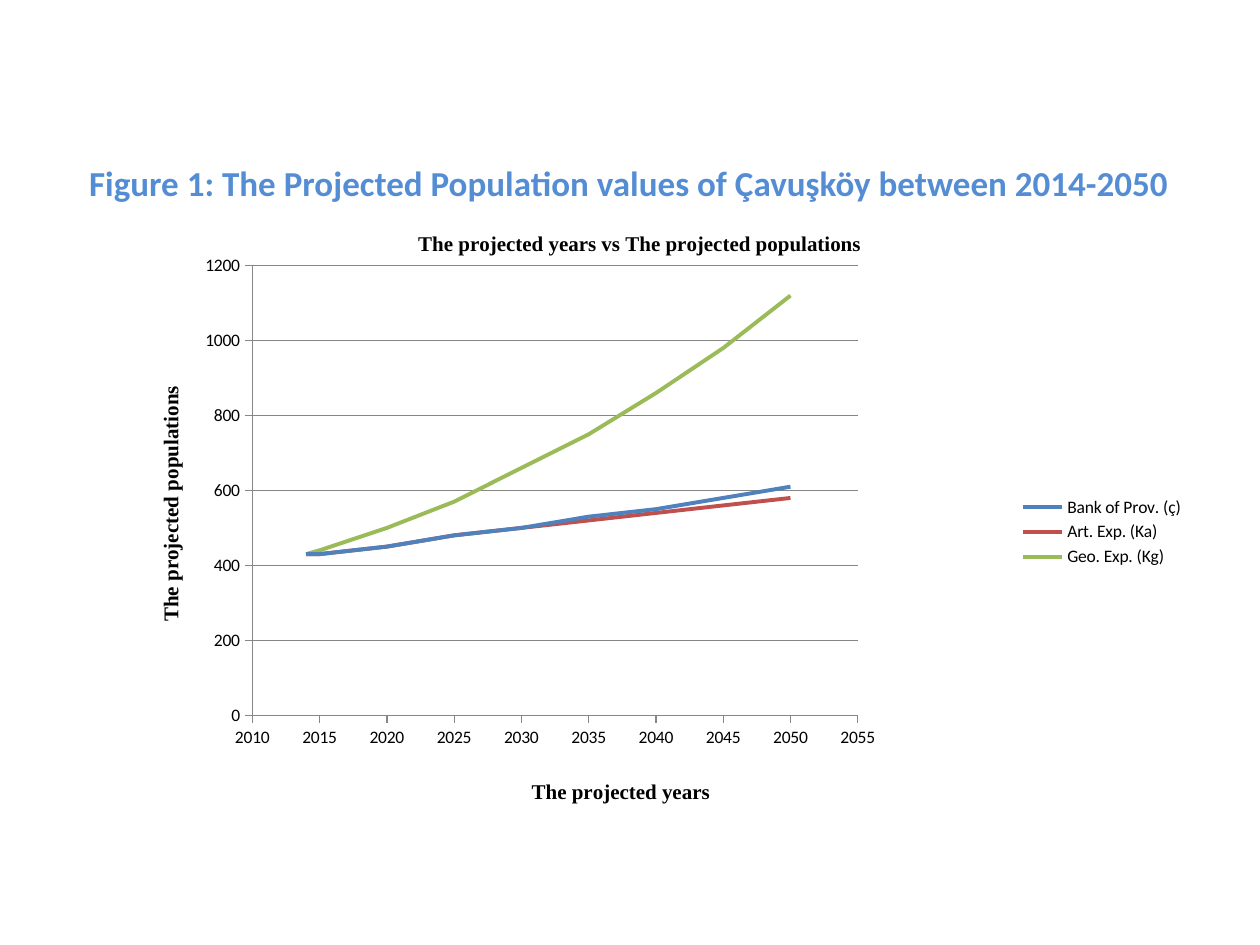
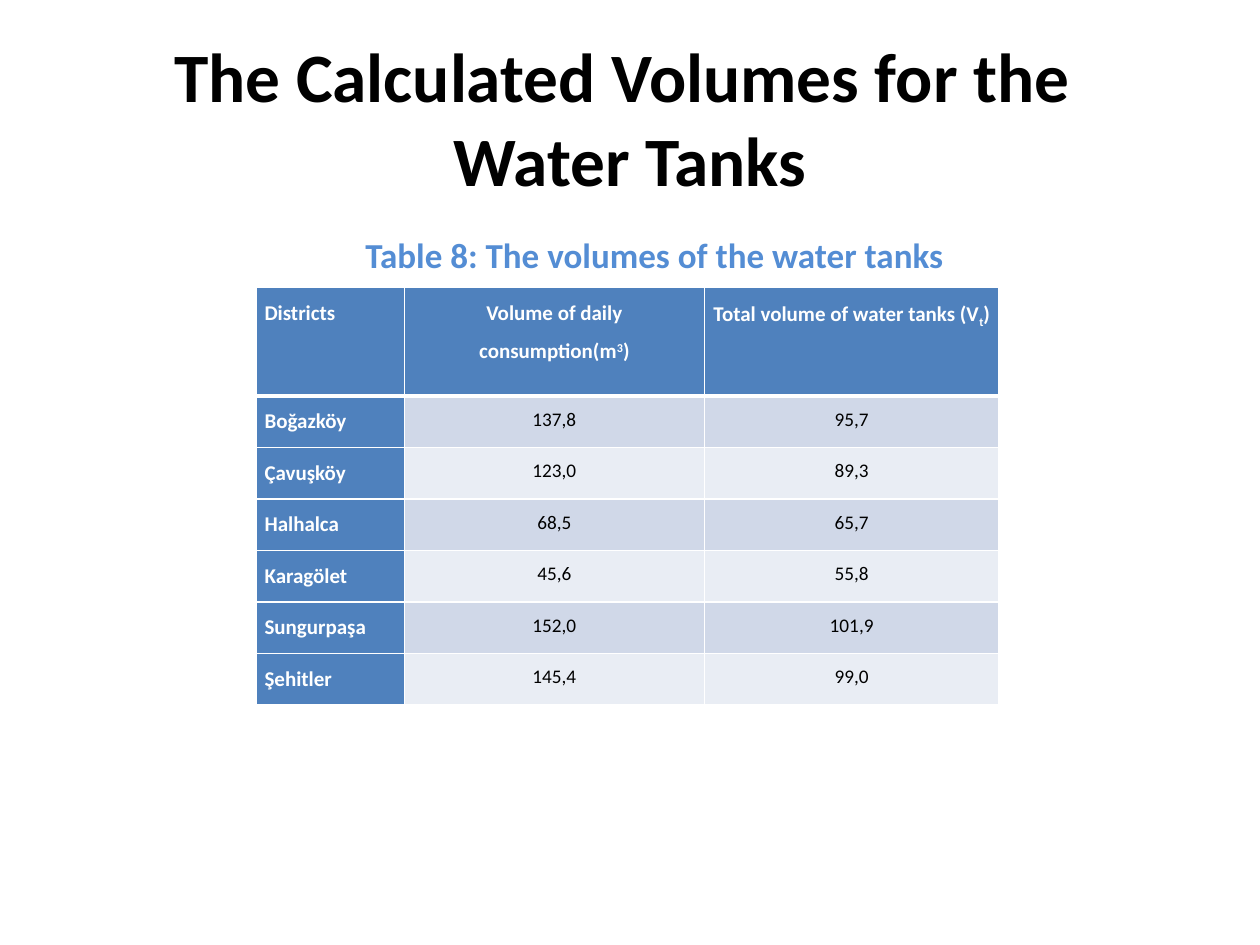
import pptx
import pptx.chart.data
import pptx.dml.color
import pptx.enum.chart
import pptx.enum.text
import pptx.oxml
import pptx.oxml.ns
import pptx.util

RGB = pptx.dml.color.RGBColor
BLACK = RGB(0x00, 0x00, 0x00)
WHITE = RGB(0xFF, 0xFF, 0xFF)
GRAY = RGB(0x86, 0x86, 0x86)
CAPTION_BLUE = RGB(0x54, 0x8D, 0xD4)
BLUE = RGB(0x4F, 0x81, 0xBD)
RED = RGB(0xC0, 0x50, 0x4D)
GREEN = RGB(0x9B, 0xBB, 0x59)
BAND_DARK = RGB(0xD0, 0xD8, 0xE8)
BAND_LIGHT = RGB(0xE9, 0xED, 0xF4)

Pt = pptx.util.Pt
qn = pptx.oxml.ns.qn
nsdecls = pptx.oxml.ns.nsdecls
CENTER = pptx.enum.text.PP_ALIGN.CENTER
W, H = pptx.util.Inches(10), pptx.util.Inches(7.5)


def add_heading(s, lines, x, y, w, h, size, color, wrap=True):
    """Add a bold centred heading; the box is given in shares of the slide."""
    tf = s.shapes.add_textbox(int(x * W), int(y * H), int(w * W), int(h * H)).text_frame
    tf.word_wrap = wrap
    p = tf.paragraphs[0]
    p.alignment = CENTER
    for i, line in enumerate(lines):
        if i:
            p.add_line_break()
        r = p.add_run()
        r.text = line
        r.font.name, r.font.size, r.font.bold = "Calibri", Pt(size), True
        r.font.color.rgb = color
    return tf


def set_layout(element, **shares):
    """Place a chart part by hand, in shares of the chart's size."""
    for old in element.findall(qn("c:layout")):
        element.remove(old)
    modes = '<c:layoutTarget val="inner"/>' if "w" in shares else ""
    modes += '<c:xMode val="edge"/><c:yMode val="edge"/>'
    values = "".join(f'<c:{key} val="{value}"/>' for key, value in shares.items())
    layout = pptx.oxml.parse_xml(
        f'<c:layout {nsdecls("c")}><c:manualLayout>{modes}{values}</c:manualLayout></c:layout>')
    element.insert(0 if element.find(qn("c:tx")) is None else 1, layout)


prs = pptx.Presentation()
prs.slide_width, prs.slide_height = W, H
blank = prs.slide_layouts[6]

# Slide 1: population chart
s = prs.slides.add_slide(blank)

years = [2014] + list(range(2015, 2051, 5))
projections = [
    ("Bank of Prov. (ç)", BLUE, [430, 430, 450, 480, 500, 530, 550, 580, 610]),
    ("Art. Exp. (Ka)", RED, [430, 430, 450, 480, 500, 520, 540, 560, 580]),
    ("Geo. Exp. (Kg)", GREEN, [430, 440, 500, 570, 660, 750, 860, 980, 1120]),
]
data = pptx.chart.data.XyChartData()
for name, color, populations in projections:
    series = data.add_series(name)
    for year, population in zip(years, populations):
        series.add_data_point(year, population)

chart = s.shapes.add_chart(
    pptx.enum.chart.XL_CHART_TYPE.XY_SCATTER_SMOOTH_NO_MARKERS,
    int(0.05 * W), int(0.233 * H), int(0.9 * W), int(0.66 * H), data).chart
chart.font.name, chart.font.size = "Calibri", Pt(10)
chart.font.color.rgb = BLACK
chart.plots[0].vary_by_categories = False
for series, (name, color, populations) in zip(chart.plots[0].series, projections):
    series.smooth = True
    series.format.line.width = Pt(2.25)
    series.format.line.color.rgb = color

year_axis, population_axis = chart.category_axis, chart.value_axis
axis_ranges = [(year_axis, 2010, 2055, 5), (population_axis, 0, 1200, 200)]
for axis, low, high, step in axis_ranges:
    axis.minimum_scale, axis.maximum_scale, axis.major_unit = low, high, step
    axis.major_tick_mark = pptx.enum.chart.XL_TICK_MARK.OUTSIDE
    axis.minor_tick_mark = pptx.enum.chart.XL_TICK_MARK.NONE
    axis.format.line.color.rgb = GRAY
    axis.format.line.width = Pt(0.75)
year_axis.has_major_gridlines = False
population_axis.has_major_gridlines = True
population_axis.major_gridlines.format.line.color.rgb = GRAY
population_axis.major_gridlines.format.line.width = Pt(0.75)

chart.has_title = True
chart_titles = [
    (chart.chart_title, "The projected years vs The projected populations", 0.31, 0.01),
    (year_axis.axis_title, "The projected years ", 0.41, 0.89),
    (population_axis.axis_title, "The projected populations", 0.08, 0.26),
]
for title, text, x, y in chart_titles:
    r = title.text_frame.paragraphs[0].add_run()
    r.text = text
    r.font.name, r.font.size, r.font.bold = "Times New Roman", Pt(12), True
    r.font.color.rgb = BLACK
    set_layout(title._element, x=x, y=y)
chart.chart_title._element.find(qn("c:overlay")).set("val", "1")
set_layout(chart._chartSpace.chart.plotArea, x=0.167, y=0.073, w=0.534, h=0.721)

chart.has_legend = True
chart.legend.position = pptx.enum.chart.XL_LEGEND_POSITION.RIGHT
chart.legend.include_in_layout = False

add_heading(s, [" Figure 1: The Projected Population values of Çavuşköy between 2014-2050"],
            0.054, 0.164, 0.884, 0.1, 20, CAPTION_BLUE, wrap=False)

# Slide 2: water tank table
s = prs.slides.add_slide(blank)
tf = add_heading(s, ["The Calculated Volumes for the ", "Water Tanks"],
                 0.05, 0.04, 0.9, 0.167, 39.6, BLACK)
tf.vertical_anchor = pptx.enum.text.MSO_ANCHOR.MIDDLE

SUPER, SUB = 30000, -25000
header = [
    [("Districts", 0)],
    [("Volume of daily consumption(m", 0), ("3", SUPER), (")", 0)],
    [("Total volume of water tanks (V", 0), ("t", SUB), (")", 0)],
]
districts = [
    ("Boğazköy", "137,8", "95,7"),
    ("Çavuşköy", "123,0", "89,3"),
    ("Halhalca", "68,5", "65,7"),
    ("Karagölet", "45,6", "55,8"),
    ("Sungurpaşa", "152,0", "101,9"),
    ("Şehitler", "145,4", "99,0"),
]
rows = [header] + [[[(text, 0)] for text in district] for district in districts]
col_shares = [0.118, 0.238, 0.234]
row_shares = [0.115] + [0.0545] * len(districts)

table = s.shapes.add_table(len(rows), len(col_shares), int(0.203 * W), int(0.304 * H),
                           int(sum(col_shares) * W), int(sum(row_shares) * H)).table
for col, share in zip(table.columns, col_shares):
    col.width = int(share * W)
for row, share in zip(table.rows, row_shares):
    row.height = int(share * H)

for i, row in enumerate(rows):
    for j, runs in enumerate(row):
        cell = table.cell(i, j)
        cell.margin_left = cell.margin_right = int(0.007 * W)
        cell.margin_top = cell.margin_bottom = 0
        thick_side = {0: "B", 1: "T"}.get(i)
        for side in "LRTB":
            width = Pt(3 if side == thick_side else 1)
            cell._tc.get_or_add_tcPr().append(pptx.oxml.parse_xml(
                f'<a:ln{side} {nsdecls("a")} w="{width}"><a:solidFill>'
                f'<a:srgbClr val="{WHITE}"/></a:solidFill></a:ln{side}>'))
        is_heading = i == 0 or j == 0
        cell.fill.solid()
        cell.fill.fore_color.rgb = BLUE if is_heading else BAND_DARK if i % 2 else BAND_LIGHT
        p = cell.text_frame.paragraphs[0]
        p.line_spacing = 1.5
        if j:
            p.alignment = CENTER
        for text, baseline in runs:
            r = p.add_run()
            r.text = text
            r.font.name, r.font.bold = "Calibri", is_heading
            r.font.size = Pt(12 if is_heading else 11)
            r.font.color.rgb = WHITE if is_heading else BLACK
            if baseline:
                r._r.get_or_add_rPr().set("baseline", str(baseline))

add_heading(s, ["Table 8: The volumes of the water tanks"],
            0.248, 0.241, 0.543, 0.058, 20, CAPTION_BLUE)

prs.save("out.pptx")
